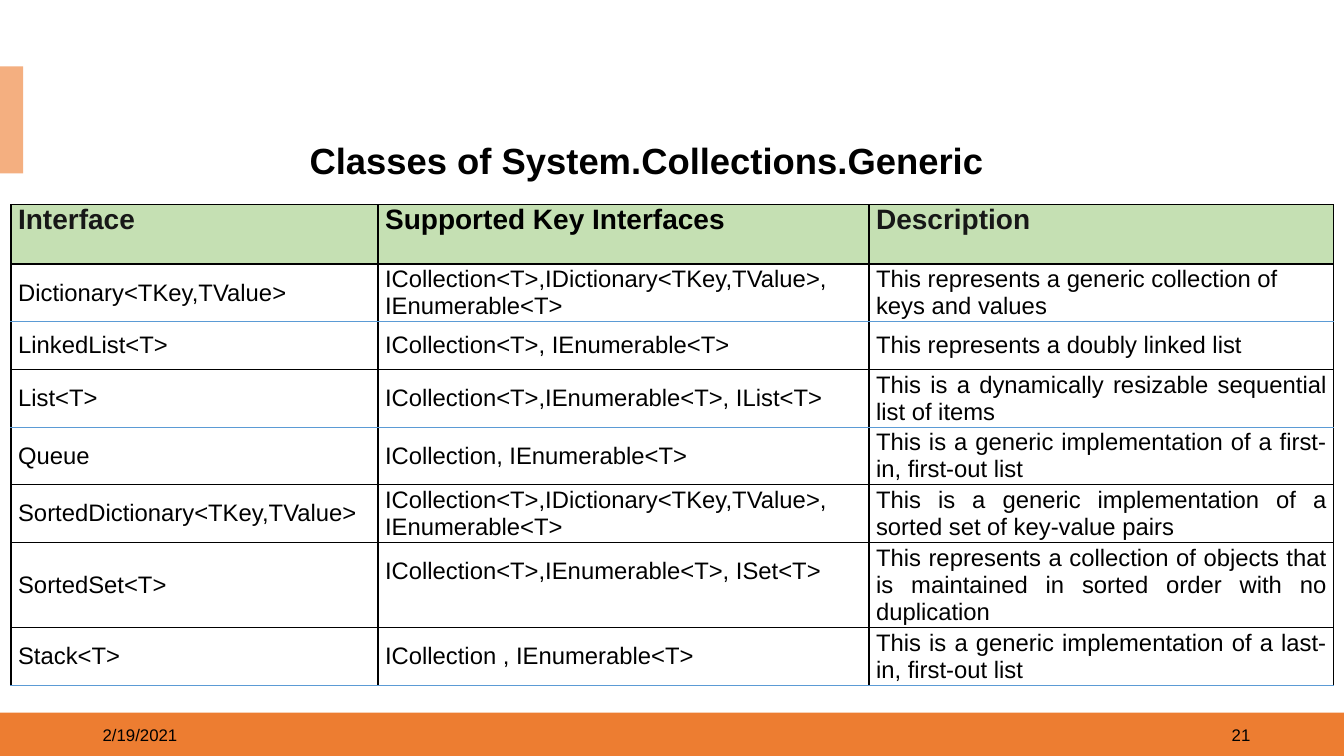
from lxml import etree
from pptx import Presentation
from pptx.dml.color import RGBColor
from pptx.enum.shapes import MSO_SHAPE
from pptx.enum.text import MSO_ANCHOR, PP_ALIGN
from pptx.oxml.ns import qn
from pptx.util import Inches, Pt

LEFT, RIGHT, JUSTIFY = PP_ALIGN.LEFT, PP_ALIGN.RIGHT, PP_ALIGN.JUSTIFY
TOP, MIDDLE = MSO_ANCHOR.TOP, MSO_ANCHOR.MIDDLE
RECTANGLE = MSO_SHAPE.RECTANGLE

BLACK = RGBColor(0x00, 0x00, 0x00)
CHARCOAL = RGBColor(0x17, 0x17, 0x17)
WHITE = RGBColor(0xFF, 0xFF, 0xFF)
ORANGE = RGBColor(0xED, 0x7D, 0x31)
PEACH = RGBColor(0xF4, 0xAF, 0x80)
GREEN = RGBColor(0xC5, 0xE0, 0xB3)
BLUE = RGBColor(0x5B, 0x9B, 0xD5)

COLUMN_WIDTHS = [3.64, 4.87, 4.61]
ROW_HEIGHTS = [0.59, 0.57, 0.48, 0.57, 0.57, 0.57, 0.85, 0.57]
BLUE_RULES = {1, 3, 7}  # rows with a blue line below them
HEADER = ["Interface", "Supported Key Interfaces", "Description"]
CLASSES = [
    ["Dictionary<TKey,TValue>",
     "ICollection<T>,IDictionary<TKey,TValue>, IEnumerable<T>",
     "This represents a generic collection of\nkeys and values"],
    ["LinkedList<T>", "ICollection<T>, IEnumerable<T>",
     "This represents a doubly linked list"],
    ["List<T>", "ICollection<T>,IEnumerable<T>, IList<T>",
     "This is a dynamically resizable sequential list of items"],
    ["Queue", "ICollection, IEnumerable<T>",
     "This is a generic implementation of a first-in, first-out list"],
    ["SortedDictionary<TKey,TValue>",
     "ICollection<T>,IDictionary<TKey,TValue>, IEnumerable<T>",
     "This is a generic implementation of a sorted set of key-value pairs"],
    ["SortedSet<T>", "ICollection<T>,IEnumerable<T>, ISet<T>",
     "This represents a collection of objects that is maintained in sorted order "
     "with no duplication"],
    ["Stack<T>", "ICollection , IEnumerable<T>",
     "This is a generic implementation of a last-in, first-out list"],
]


def write_text(text_frame, text, size, color=BLACK, bold=False, align=LEFT, spacing=1.0):
    text_frame.word_wrap = True
    text_frame.text = text
    for paragraph in text_frame.paragraphs:
        paragraph.alignment = align
        paragraph.line_spacing = spacing
        paragraph.space_before = Pt(0)
        font = paragraph.runs[0].font
        font.name, font.size, font.bold = "Arial", Pt(size), bold
        font.color.rgb = color


def add_block(slide, left, top, width, height, color):
    block = slide.shapes.add_shape(
        RECTANGLE, Inches(left), Inches(top), Inches(width), Inches(height))
    block.shadow.inherit = False
    block.fill.solid()
    block.fill.fore_color.rgb = color
    block.line.fill.background()


def add_label(slide, left, top, width, height, text, align):
    label = slide.shapes.add_textbox(
        Inches(left), Inches(top), Inches(width), Inches(height))
    label.text_frame.vertical_anchor = MIDDLE
    write_text(label.text_frame, text, 12, align=align)


def add_footer(slide, left, top, width, height):
    add_block(slide, left, top, width, height, ORANGE)
    add_label(slide, left + 0.92, top + 0.02, 3, 0.4, "2/19/2021", LEFT)
    add_label(slide, left + width - 3.83, top + 0.02, 3, 0.4, "21", RIGHT)


def add_title(slide, left, top, width, height):
    title = slide.shapes.title
    title.left, title.top = Inches(left), Inches(top)
    title.width, title.height = Inches(width), Inches(height)
    title.fill.solid()
    title.fill.fore_color.rgb = WHITE
    title.text_frame.vertical_anchor = MIDDLE
    title.text_frame.margin_right = 0
    write_text(title.text_frame, "Classes of System.Collections.Generic", 26,
               bold=True, spacing=0.8)


def set_borders(cell, top_color, bottom_color):
    properties = cell._tc.get_or_add_tcPr()
    sides = [("a:lnL", BLACK), ("a:lnR", BLACK), ("a:lnT", top_color), ("a:lnB", bottom_color)]
    for index, (tag, color) in enumerate(sides):
        line = etree.Element(qn(tag), w=str(Pt(1)))
        fill = etree.SubElement(line, qn("a:solidFill"))
        etree.SubElement(fill, qn("a:srgbClr"), val=str(color))
        properties.insert(index, line)


def rule_color(row):
    return BLUE if row in BLUE_RULES else BLACK


def format_cell(cell, row, column, text):
    is_header = row == 0
    cell.margin_left = cell.margin_right = Inches(0.07)
    cell.margin_top = cell.margin_bottom = 0
    cell.vertical_anchor = TOP if is_header else MIDDLE
    cell.fill.solid()
    cell.fill.fore_color.rgb = GREEN if is_header else WHITE
    set_borders(cell, rule_color(row - 1), rule_color(row))
    if is_header:
        color = BLACK if column == 1 else CHARCOAL
        write_text(cell.text_frame, text, 20, color=color, bold=True)
    else:
        align = LEFT if column == 0 else JUSTIFY
        write_text(cell.text_frame, text, 17, align=align)


def add_class_table(slide, left, top):
    rows = [HEADER] + CLASSES
    table = slide.shapes.add_table(
        len(rows), len(HEADER), Inches(left), Inches(top),
        Inches(sum(COLUMN_WIDTHS)), Inches(sum(ROW_HEIGHTS))).table
    for column, width in zip(table.columns, COLUMN_WIDTHS):
        column.width = Inches(width)
    for row, height in zip(table.rows, ROW_HEIGHTS):
        row.height = Inches(height)
    for row, texts in enumerate(rows):
        for column, text in enumerate(texts):
            format_cell(table.cell(row, column), row, column, text)
    # The SortedSet interfaces sit half a line above the middle of their cell.
    table.cell(6, 1).margin_bottom = Inches(0.28)


def main():
    presentation = Presentation()
    presentation.slide_width, presentation.slide_height = Inches(13.33), Inches(7.5)
    slide = presentation.slides.add_slide(presentation.slide_layouts[5])
    add_footer(slide, 0, 7.07, 13.33, 0.43)
    add_block(slide, 0, 0.66, 0.23, 1.06, PEACH)
    add_title(slide, 2.97, 1.35, 6.89, 0.55)
    add_class_table(slide, 0.11, 2.03)
    presentation.save("out.pptx")


if __name__ == "__main__":
    main()
